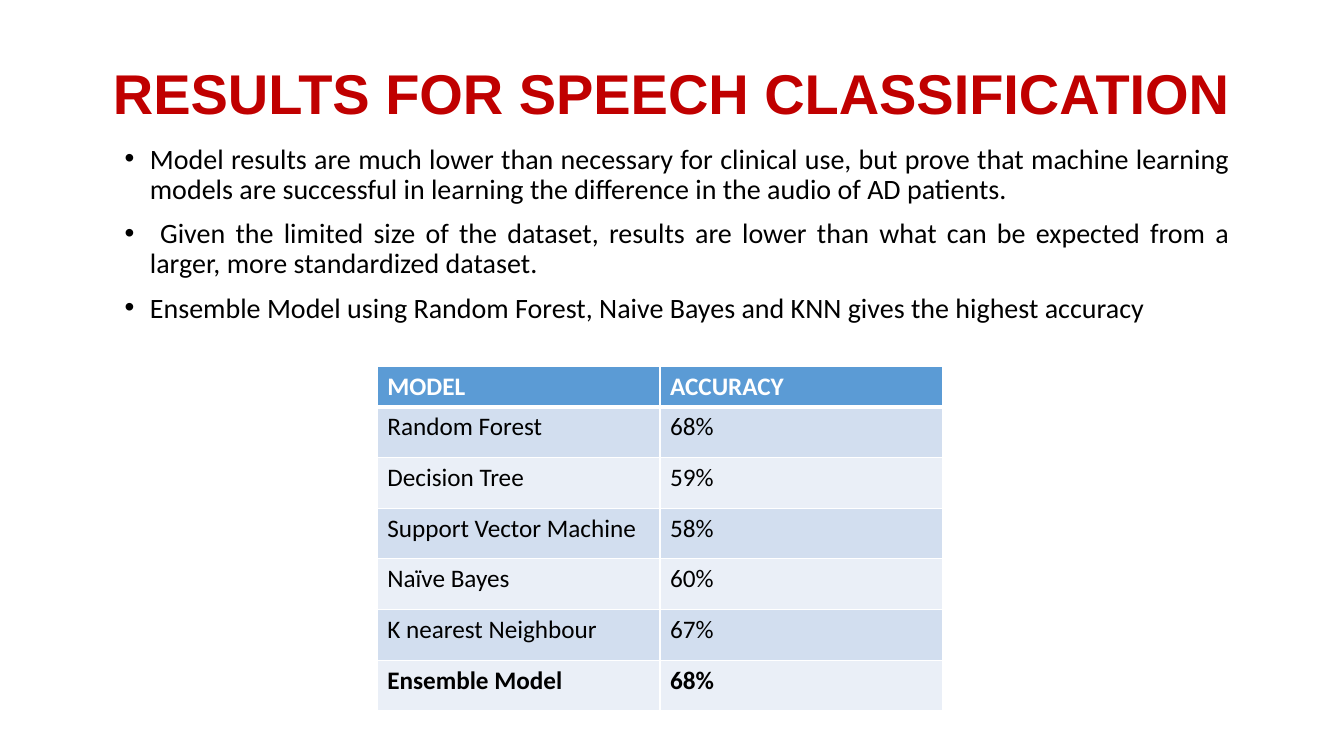
from lxml import etree
from pptx import Presentation
from pptx.dml.color import RGBColor
from pptx.enum.text import MSO_ANCHOR, MSO_AUTO_SIZE, PP_ALIGN
from pptx.oxml.ns import qn
from pptx.util import Pt

LEFT, JUSTIFY = PP_ALIGN.LEFT, PP_ALIGN.JUSTIFY
MIDDLE = MSO_ANCHOR.MIDDLE
NO_FIT = MSO_AUTO_SIZE.NONE

RED = RGBColor(0xC0, 0x00, 0x00)
BLACK = RGBColor(0x00, 0x00, 0x00)
WHITE = RGBColor(0xFF, 0xFF, 0xFF)
BLUE = RGBColor(0x5B, 0x9B, 0xD5)
BANDS = (RGBColor(0xEA, 0xEF, 0xF7), RGBColor(0xD2, 0xDE, 0xEF))

TITLE = "RESULTS FOR SPEECH CLASSIFICATION"
FINDINGS = [
    "Model results are much lower than necessary for clinical use, but prove that "
    "machine learning models are successful in learning the difference in the audio "
    "of AD patients.",
    " Given the limited size of the dataset, results are lower than what can be "
    "expected from a larger, more standardized dataset.",
    "Ensemble Model using Random Forest, Naive Bayes and KNN gives the highest accuracy",
]
ACCURACY = [
    ("MODEL", "ACCURACY"),
    ("Random Forest", "68%"),
    ("Decision Tree", "59%"),
    ("Support Vector Machine", "58%"),
    ("Naïve Bayes", "60%"),
    ("K nearest Neighbour", "67%"),
    ("Ensemble Model", "68%"),
]


def write(p, text, font="Calibri", size=18, color=BLACK, bold=False,
          align=LEFT, spacing=None, before=0):
    p.alignment = align
    p.line_spacing = spacing
    p.space_before = Pt(before)
    r = p.add_run()
    r.text = text
    r.font.name = font
    r.font.size = Pt(size)
    r.font.bold = bold
    r.font.color.rgb = color


def add_bullet(p, indent):
    pPr = p._p.get_or_add_pPr()
    pPr.set("marL", str(Pt(indent)))
    pPr.set("indent", str(-Pt(indent)))
    etree.SubElement(pPr, qn("a:buFont")).set("typeface", "Arial")
    etree.SubElement(pPr, qn("a:buChar")).set("char", "•")


def set_borders(cell, bottom):
    tcPr = cell._tc.get_or_add_tcPr()
    widths = (("a:lnL", 1), ("a:lnR", 1), ("a:lnT", 1), ("a:lnB", bottom))
    for i, (tag, width) in enumerate(widths):
        ln = etree.Element(qn(tag), w=str(Pt(width)))
        fill = etree.SubElement(ln, qn("a:solidFill"))
        etree.SubElement(fill, qn("a:srgbClr")).set("val", str(WHITE))
        tcPr.insert(i, ln)


class Deck:
    def __init__(self, width, height):
        self.prs = Presentation()
        self.prs.slide_width, self.prs.slide_height = Pt(width), Pt(height)
        self.s = self.prs.slides.add_slide(self.prs.slide_layouts[5])

    def title(self, text, x, y, w, h):
        sp = self.s.shapes.title
        sp.left, sp.top, sp.width, sp.height = Pt(x), Pt(y), Pt(w), Pt(h)
        tf = sp.text_frame
        tf.auto_size = NO_FIT
        tf.vertical_anchor = MIDDLE
        write(tf.paragraphs[0], text, font="Arial", size=40, color=RED,
              bold=True, spacing=0.9)

    def bullets(self, items, x, y, w, h):
        tf = self.s.shapes.add_textbox(Pt(x), Pt(y), Pt(w), Pt(h)).text_frame
        tf.word_wrap = True
        for i, item in enumerate(items):
            p = tf.add_paragraph() if i else tf.paragraphs[0]
            write(p, item, size=20, align=JUSTIFY, spacing=0.9, before=10)
            add_bullet(p, 18)

    def table(self, rows, x, y, w, head_h, row_h):
        h = head_h + row_h * (len(rows) - 1)
        table = self.s.shapes.add_table(len(rows), len(rows[0]),
                                        Pt(x), Pt(y), Pt(w), Pt(h)).table
        for i, values in enumerate(rows):
            head = i == 0
            table.rows[i].height = Pt(head_h if head else row_h)
            for j, value in enumerate(values):
                cell = table.cell(i, j)
                cell.fill.solid()
                cell.fill.fore_color.rgb = BLUE if head else BANDS[i % 2]
                set_borders(cell, 3 if head else 1)
                write(cell.text_frame.paragraphs[0], value,
                      color=WHITE if head else BLACK,
                      bold=head or i == len(rows) - 1)


def main():
    deck = Deck(960, 540)
    deck.title(TITLE, 73.5, 42.5, 821, 52)
    deck.bullets(FINDINGS, 82, 100, 803.5, 343)
    deck.table(ACCURACY, 269.5, 261.5, 404, 29, 36.25)
    deck.prs.save("out.pptx")


if __name__ == "__main__":
    main()
